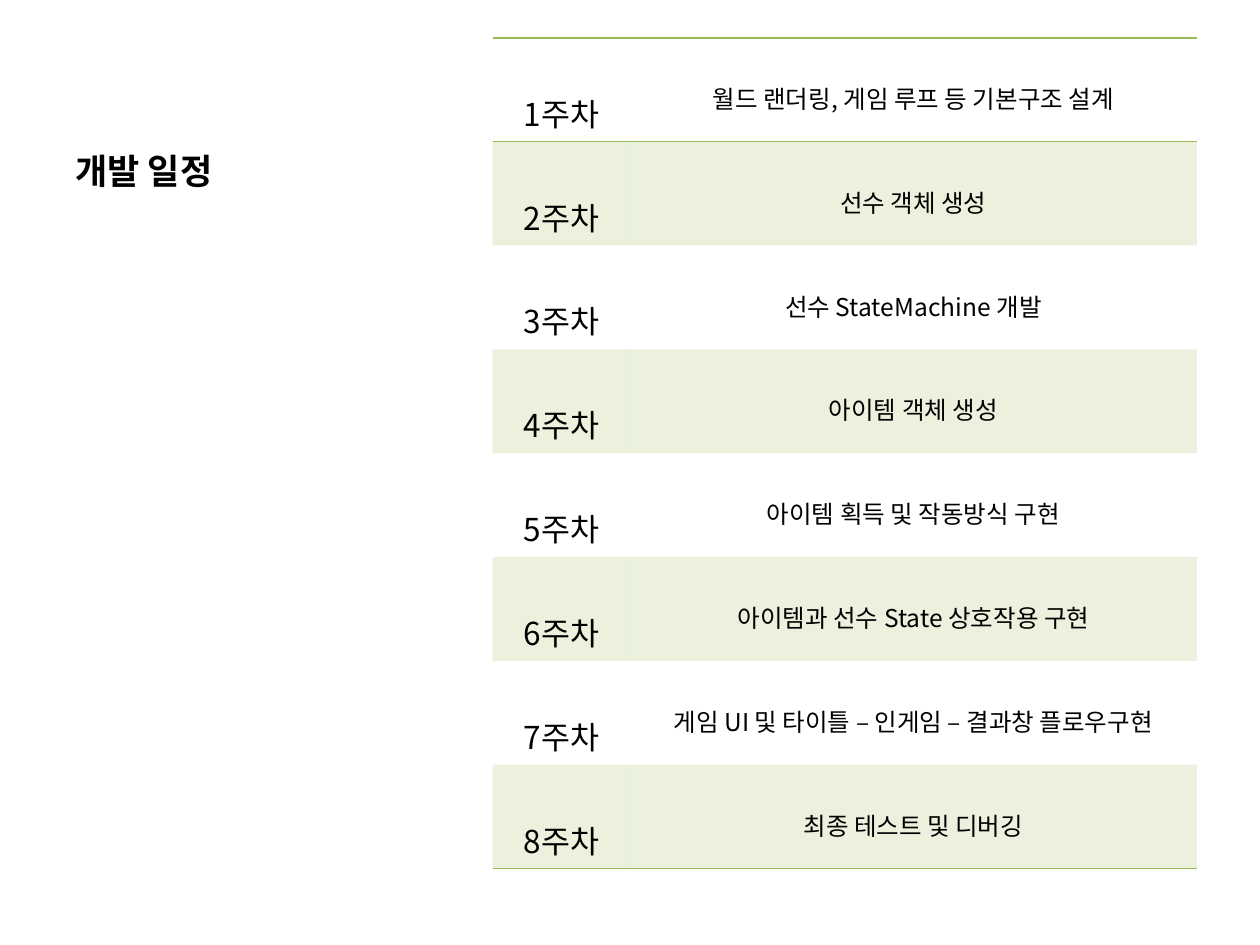
from pptx import Presentation
from pptx.dml.color import RGBColor
from pptx.enum.text import MSO_ANCHOR, PP_ALIGN
from pptx.oxml.ns import qn
from pptx.util import Inches, Pt
from lxml.etree import SubElement

FONT = "Noto Sans CJK KR"
BLACK, GREEN = "000000", "9BBB59"
PLAIN_TABLE = "{2D5ABB26-0587-4C30-8999-92F81FD0307C}"

TASKS = [
    "월드 랜더링, 게임 루프 등 기본구조 설계",
    "선수 객체 생성",
    "선수 StateMachine 개발",
    "아이템 객체 생성",
    "아이템 획득 및 작동방식 구현",
    "아이템과 선수 State 상호작용 구현",
    "게임 UI 및 타이틀 – 인게임 – 결과창 플로우구현",
    "최종 테스트 및 디버깅",
]


def color(value):
    return RGBColor.from_string(value)


def write(frame, text, size, bold=False, align=PP_ALIGN.LEFT, spacing=None):
    para = frame.paragraphs[0]
    para.alignment = align
    para.line_spacing = spacing
    span = para.add_run()
    span.text = text
    font = span.font
    font.name, font.size, font.bold = FONT, Pt(size), bold
    font.color.rgb = color(BLACK)
    # Korean letters take the East Asian typeface
    SubElement(font._element, qn("a:ea"), typeface=FONT)


class Page:
    def __init__(self, deck):
        self.slide = deck.slides.add_slide(deck.slide_layouts[5])

    def title(self, text, left, top, width, height):
        box = self.slide.shapes.title
        box.left, box.top = Inches(left), Inches(top)
        box.width, box.height = Inches(width), Inches(height)
        box.text_frame.vertical_anchor = MSO_ANCHOR.BOTTOM
        write(box.text_frame, text, 20, bold=True)

    def schedule(self, tasks, left, top, widths, row_height):
        frame = self.slide.shapes.add_table(
            len(tasks), len(widths), Inches(left), Inches(top),
            Inches(sum(widths)), Inches(row_height * len(tasks)))
        table = frame.table
        table.first_row = table.horz_banding = False
        table._tbl.tblPr.find(qn("a:tableStyleId")).text = PLAIN_TABLE
        for column, width in zip(table.columns, widths):
            column.width = Inches(width)

        for index, task in enumerate(tasks):
            # Lines frame the first row and close the last one
            sides = {0: ["lnT", "lnB"], len(tasks) - 1: ["lnB"]}.get(index, [])
            for cell, text, size in zip(table.rows[index].cells,
                                        (f"{index + 1}주차", task), (18, 14)):
                write(cell.text_frame, text, size,
                      align=PP_ALIGN.CENTER, spacing=2.0)
                for side in sides:
                    self.border(cell, side)
                self.band(cell, shaded=index % 2 == 1)

    def border(self, cell, side):
        line = SubElement(cell._tc.get_or_add_tcPr(), qn(f"a:{side}"),
                          w=str(Pt(1)))
        fill = SubElement(line, qn("a:solidFill"))
        SubElement(fill, qn("a:srgbClr"), val=GREEN)

    def band(self, cell, shaded):
        if not shaded:
            cell.fill.background()
            return
        cell.fill.solid()
        cell.fill.fore_color.rgb = color(GREEN)
        tint = cell._tc.tcPr.find(qn("a:solidFill")).find(qn("a:srgbClr"))
        SubElement(tint, qn("a:alpha"), val="20000")


def main():
    deck = Presentation()
    deck.slide_width, deck.slide_height = Inches(10), Inches(7.5)
    page = Page(deck)

    # Heading on the left, weekly plan on the right
    page.title("개발 일정", 0.5, 0.3, 3.29, 1.27)
    page.schedule(TASKS, 3.91, 0.3, (1.09, 4.5), 0.8)

    deck.save("out.pptx")


if __name__ == "__main__":
    main()
